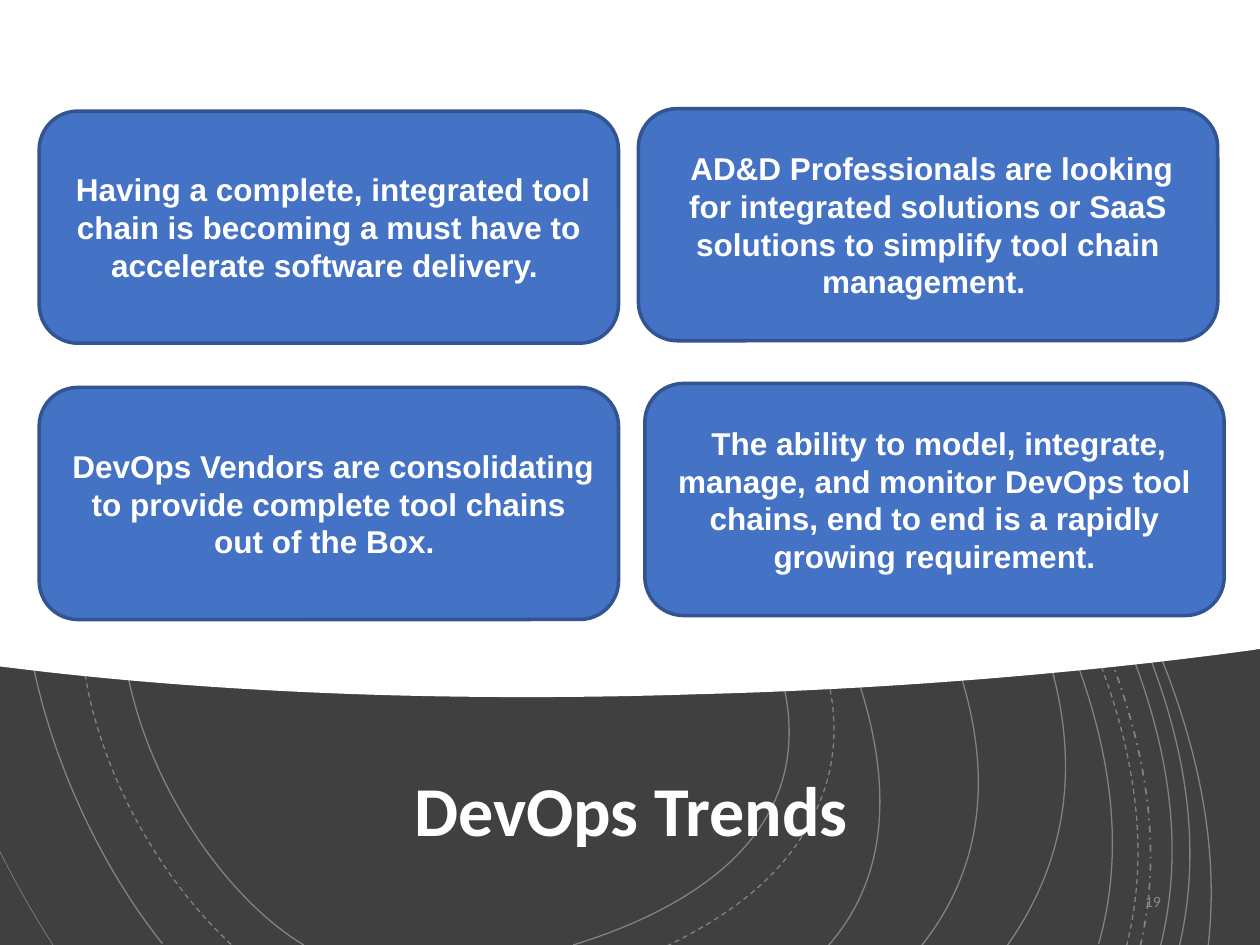
from lxml.etree import SubElement
from pptx import Presentation
from pptx.dml.color import RGBColor
from pptx.enum.dml import MSO_LINE
from pptx.enum.shapes import MSO_SHAPE
from pptx.enum.text import MSO_ANCHOR, PP_ALIGN
from pptx.oxml.ns import qn
from pptx.util import Cm, Pt

INCH = 2.54
SOLID, DASH, DOT = MSO_LINE.SOLID, MSO_LINE.DASH, MSO_LINE.DASH_DOT

ARCS = [
    (SOLID, 0.75, [(6.57, 7.51), (7.69, 6.25), (6.26, 4.09), (5.54, 3.15),
                   (4.87, 2.3), (4.02, 1.64), (3.09, 1.53),
                   (2.15, 1.41), (1.06, 2.08), (0.51, 3.07),
                   (-0.27, 4.47), (0.45, 6.44), (1.29, 7.49)]),
    (SOLID, 0.75, [(4.55, 7.5), (5.33, 7.26), (6.6, 6.67), (6.18, 5.29),
                   (5.8, 3.99), (4.61, 2.78), (3.6, 2.48),
                   (2.68, 2.2), (1.62, 2.81), (1.14, 3.91),
                   (0.55, 5.24), (1.5, 6.95), (2.41, 7.5)]),
    (DASH, 0.75, [(5.29, 7.51), (5.74, 7.29), (6.26, 6.96), (6.5, 6.38),
                  (6.8, 5.68), (6.48, 4.95), (6.13, 4.4),
                  (5.42, 3.29), (4.44, 2.27), (3.32, 2.09),
                  (2.39, 1.95), (1.44, 2.67), (0.91, 3.68),
                  (0.21, 5.04), (0.95, 6.68), (1.85, 7.51)]),
    (SOLID, 0.75, [(7.31, 7.51), (8.48, 6.04), (7.12, 4.13), (6.28, 3.06),
                   (5.49, 2.06), (4.52, 1.2), (3.44, 0.92),
                   (2.13, 0.59), (0.83, 1.43), (0, 2.8)]),
    (SOLID, 0.38, [(0, 6.76), (0.14, 7.04), (0.28, 7.28), (0.42, 7.5)]),
    (SOLID, 0.75, [(7.99, 7.51), (9.1, 5.95), (8, 4.22), (7.08, 3.07),
                   (6.13, 1.89), (5, 0.87), (3.73, 0.44),
                   (2.23, -0.06), (1.14, 0.46), (0, 1.84)]),
    (SOLID, 0.75, [(8.72, 7.49), (9.2, 5.81), (7.98, 4.01), (7.22, 2.87),
                   (6.44, 1.7), (5.52, 0.66), (4.45, 0)]),
    (DASH, 0.75, [(8.94, 7.51), (9.36, 5.86), (8.24, 4.15), (7.5, 3.01),
                  (6.73, 1.81), (5.83, 0.73), (4.78, 0)]),
    (DOT, 1, [(9.05, 7.51), (9.44, 5.85), (8.35, 4.17), (7.61, 3.02),
              (6.85, 1.83), (5.96, 0.75), (4.93, 0)]),
    (SOLID, 0.75, [(9.21, 7.51), (9.62, 5.88), (8.58, 4.25), (7.85, 3.12),
                   (7.06, 1.9), (6.15, 0.79), (5.09, -0.01)]),
    (SOLID, 0.75, [(9.36, 7.51), (9.74, 5.9), (8.75, 4.32), (8.03, 3.18),
                   (7.25, 1.95), (6.35, 0.83), (5.3, 0)]),
    (SOLID, 0.75, [(9.59, 7.5), (9.77, 5.9), (8.86, 4.38), (8.17, 3.22),
                   (7.45, 2), (6.61, 0.87), (5.64, 0)]),
]
COVER = [(0, 0), (10, 0), (10, 5.15), (9.94, 5.16),
         (8.32, 5.38), (6.76, 5.48), (5.54, 5.51),
         (4.05, 5.56), (2.18, 5.54), (0.33, 5.33), (0, 5.29)]
TRENDS = [
    (0.79, 2.24, " Having a complete, integrated tool chain is becoming a must "
                 "have to accelerate software delivery. "),
    (12.87, 2.19, " AD&D Professionals are looking for integrated solutions or "
                  "SaaS solutions to simplify tool chain management. "),
    (0.79, 7.81, " DevOps Vendors are consolidating to provide complete tool "
                 "chains out of the Box. "),
    (13, 7.73, " The ability to model, integrate, manage, and monitor DevOps "
               "tool chains, end to end is a rapidly growing requirement."),
]


def color(code):
    """Turn a hex string into a colour."""
    return RGBColor.from_string(code)


def paint(shape, fill=None, line=None, width=1):
    """Set the fill and outline of a shape and drop its shadow."""
    shape.shadow.inherit = False
    if fill:
        shape.fill.solid()
        shape.fill.fore_color.rgb = color(fill)
    else:
        shape.fill.background()
    if line:
        shape.line.color.rgb = color(line)
        shape.line.width = Pt(width)
    else:
        shape.line.fill.background()


def outline(shapes, knots, first, last, close):
    """Build a freeform whose knots from first to last are cubic curves."""
    spots = [(Cm(x * INCH), Cm(y * INCH)) for x, y in knots]
    pen = shapes.build_freeform(*spots[0])
    pen.add_line_segments(spots[1:], close=close)
    shape = pen.convert_to_shape()
    legs = list(shape._element.iter(qn("a:lnTo")))[first:last]
    for i in range(0, len(legs), 3):
        curve = legs[i].makeelement(qn("a:cubicBezTo"))
        legs[i].addprevious(curve)
        for leg in legs[i:i + 3]:
            curve.append(leg[0])
            leg.getparent().remove(leg)
    return shape


def add_arc(shapes, dash, width, knots):
    """Draw one faint contour line."""
    arc = outline(shapes, knots, 0, len(knots) - 1, False)
    paint(arc, line="FFFFFF", width=width)
    arc.line.dash_style = dash
    tint = arc.line.fill._xPr.find(".//" + qn("a:srgbClr"))
    SubElement(tint, qn("a:alpha"), val="35000")


def write(shape, text, size, font, code, bold=False, align=PP_ALIGN.CENTER):
    """Put one styled paragraph in a shape and return it."""
    frame = shape.text_frame
    frame.word_wrap = True
    frame.vertical_anchor = MSO_ANCHOR.MIDDLE
    para = frame.paragraphs[0]
    para.text = text
    para.alignment = align
    para.font.size = Pt(size)
    para.font.name = font
    para.font.bold = bold
    para.font.color.rgb = color(code)
    return para


def add_card(shapes, left, top, text):
    """Add one rounded trend card."""
    card = shapes.add_shape(MSO_SHAPE.ROUNDED_RECTANGLE,
                            Cm(left), Cm(top), Cm(11.68), Cm(4.68))
    paint(card, "4472C4", "325491", 2)
    write(card, text, 18, "Arial", "FFFFFF", True)


def main():
    """Build and save the slide."""
    deck = Presentation()
    deck.slide_width, deck.slide_height = Cm(25.4), Cm(19.05)
    shapes = deck.slides.add_slide(deck.slide_layouts[6]).shapes
    back = shapes.add_shape(MSO_SHAPE.RECTANGLE, 0, 0, Cm(25.4), Cm(19.07))
    paint(back, "404040")
    group = shapes.add_group_shape()
    for arc in ARCS:
        add_arc(group.shapes, *arc)

    title = shapes.add_textbox(Cm(3.05), Cm(15.32), Cm(19.66), Cm(2.18))
    para = write(title, "DevOps Trends ", 40, "Calibri", "FFFFFF", True)
    para.line_spacing = 0.9

    cover = outline(shapes, COVER, 3, 9, True)
    paint(cover, "FFFFFF")

    page = shapes.add_textbox(Cm(17.93), Cm(17.65), Cm(5.72), Cm(1.02))
    para = write(page, "19", 9, "Calibri", "898989", align=PP_ALIGN.RIGHT)
    para.space_after = Pt(6)
    for trend in TRENDS:
        add_card(shapes, *trend)
    deck.save("out.pptx")


if __name__ == "__main__":
    main()
